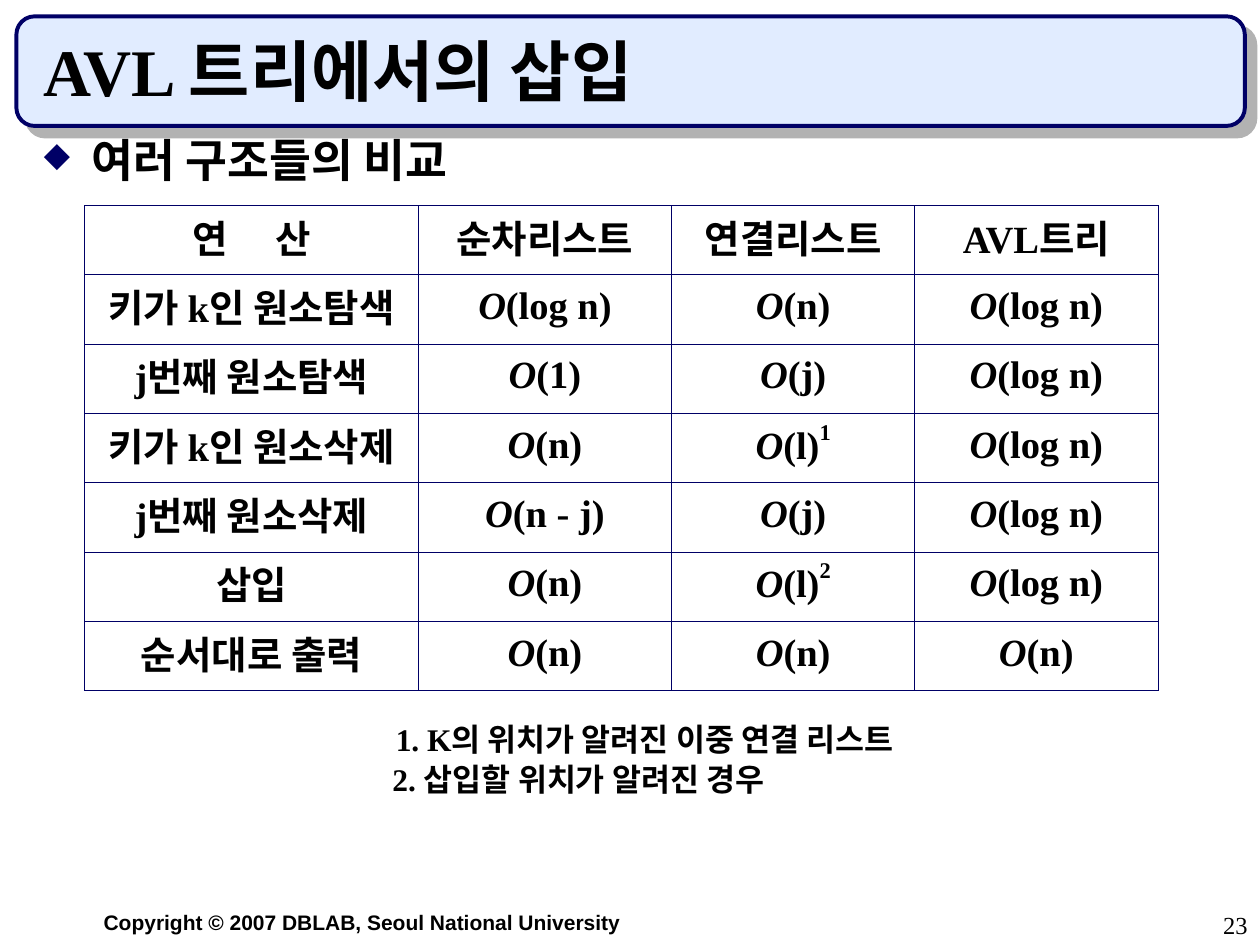
from lxml import etree
from pptx import Presentation, util as u
from pptx.dml.color import RGBColor
from pptx.enum import shapes, text
from pptx.oxml import parse_xml
from pptx.oxml.ns import qn

NS = 'xmlns:a="http://schemas.openxmlformats.org/drawingml/2006/main"'
NAVY, PALE, GRAY, BLACK = "000066", "E1ECFF", "B2B2B2", "000000"
SERIF, SANS = "Times New Roman", "Arial"
MID, LEFT, RIGHT = text.PP_ALIGN.CENTER, text.PP_ALIGN.LEFT, text.PP_ALIGN.RIGHT
TOP, LOW = text.MSO_ANCHOR.TOP, text.MSO_ANCHOR.BOTTOM

TITLE = "AVL 트리에서의 삽입"
POINT = "여러 구조들의 비교"
HEAD = ["연 산", "순차리스트", "연결리스트", "AVL트리"]
ROWS = [
    ("키가 k인 원소탐색", "log n", "n", "log n"),
    ("j번째 원소탐색", "1", "j", "log n"),
    ("키가 k인 원소삭제", "n", "l^1", "log n"),
    ("j번째 원소삭제", "n - j", "j", "log n"),
    ("삽입", "n", "l^2", "log n"),
    ("순서대로 출력", "n", "n", "n"),
]
COLS = [2.65, 2.01, 1.93, 1.93]
STEP = 0.55
BOXES = [
    (TITLE, (0.25, 0.25, 9.42, 0.67), 38, SERIF, True, LEFT, LOW, 1),
    ("1. K의 위치가 알려진 이중 연결 리스트", (2.32, 5.72, 5.59, 0.34), 18, SERIF, True, MID, TOP, 0.8),
    ("2. 삽입할 위치가 알려진 경우", (2.62, 6.04, 3.94, 0.34), 18, SERIF, True, MID, TOP, 0.8),
    ("Copyright © 2007 DBLAB, Seoul National University", (0.25, 7.17, 5.25, 0.3),
     12, SANS, True, MID, TOP, 1),
    ("23", (7.92, 7.17, 2.08, 0.33), 14, SERIF, False, RIGHT, TOP, 1),
]


def color(code):
    return RGBColor.from_string(code)


def add_run(par, words, size, face=SERIF, bold=True, slant=False):
    run = par.add_run()
    run.text = words
    font = run.font
    font.size, font.name, font.bold, font.italic = u.Pt(size), face, bold, slant
    font.color.rgb = color(BLACK)
    return run


def add_box(slide, words, at, size, face, bold, align, anchor, space):
    frame = slide.shapes.add_textbox(*map(u.Inches, at)).text_frame
    frame.word_wrap, frame.vertical_anchor = True, anchor
    par = frame.paragraphs[0]
    par.alignment, par.line_spacing = align, space
    add_run(par, words, size, face, bold)
    return par


def add_banner(slide):
    box = slide.shapes.add_shape(shapes.MSO_SHAPE.ROUNDED_RECTANGLE,
                                 *map(u.Inches, (0.13, 0.13, 9.75, 0.87)))
    box.fill.solid()
    box.fill.fore_color.rgb = color(PALE)
    box.line.color.rgb, box.line.width = color(NAVY), u.Pt(2.25)
    box.shadow.inherit = False
    glow = box._element.spPr.find(qn("a:effectLst"))
    glow.append(parse_xml(
        f'<a:outerShdw {NS} dist="{u.Pt(8.5)}" dir="2700000" algn="ctr" rotWithShape="0">'
        f'<a:srgbClr val="{GRAY}"/></a:outerShdw>'))


def add_point(slide):
    par = add_box(slide, POINT, (0.25, 1.08, 9.42, 0.5), 26, SERIF, True, LEFT, TOP, 0.8)
    props = par._p.get_or_add_pPr()
    props.set("marL", str(u.Inches(0.38)))
    props.set("indent", str(-u.Inches(0.38)))
    for mark in (f'<a:buClr {NS}><a:srgbClr val="{NAVY}"/></a:buClr>',
                 f'<a:buSzPct {NS} val="75000"/>',
                 f'<a:buChar {NS} char="◆"/>'):
        props.append(parse_xml(mark))


def fill_cell(cell, words, row, col):
    cell.vertical_anchor = text.MSO_ANCHOR.MIDDLE
    par = cell.text_frame.paragraphs[0]
    par.alignment, par.line_spacing = MID, 0.8
    if row and col:
        order, _, note = words.partition("^")
        add_run(par, "O", 22, slant=True)
        add_run(par, f"({order})", 22)
        if note:
            add_run(par, note, 22).font._element.set("baseline", "50000")
    elif row == col == 0:
        first, last = words.split()
        add_run(par, first, 22)
        add_run(par, " ", 22).font._element.set("spc", "2200")
        add_run(par, last, 22)
    else:
        add_run(par, words, 22)
    props = cell._tc.get_or_add_tcPr()
    for side in ("lnL", "lnR", "lnT", "lnB"):
        edge = etree.SubElement(props, qn(f"a:{side}"), w=str(u.Pt(0.45)))
        paint = etree.SubElement(edge, qn("a:solidFill"))
        etree.SubElement(paint, qn("a:srgbClr"), val=NAVY)
    cell.fill.background()


def add_grid(slide):
    data = [HEAD, *ROWS]
    size = (0.67, 1.63, sum(COLS), STEP * len(data))
    grid = slide.shapes.add_table(len(data), len(COLS), *map(u.Inches, size)).table
    grid.first_row = grid.horz_banding = False
    for col, width in zip(grid.columns, COLS):
        col.width = u.Inches(width)
    for r, line in enumerate(data):
        grid.rows[r].height = u.Inches(STEP)
        for c, words in enumerate(line):
            fill_cell(grid.cell(r, c), words, r, c)


def main():
    """Build the slide comparing list and AVL tree costs."""
    deck = Presentation()
    deck.slide_width, deck.slide_height = u.Inches(10), u.Inches(7.5)
    slide = deck.slides.add_slide(deck.slide_layouts[6])
    add_banner(slide)
    add_point(slide)
    add_grid(slide)
    for box in BOXES:
        add_box(slide, *box)
    deck.save("out.pptx")


if __name__ == "__main__":
    main()
